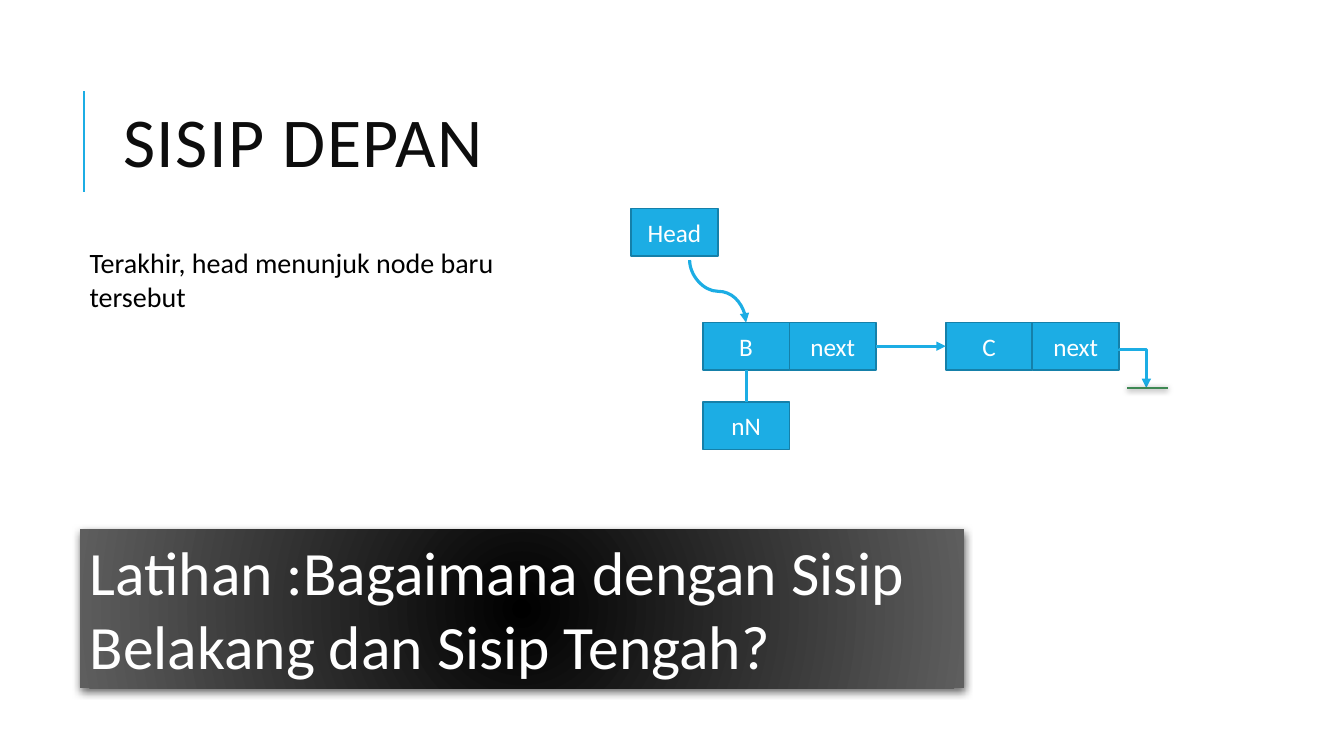
from dataclasses import dataclass
from lxml.etree import SubElement
from pptx import Presentation
from pptx.dml.color import RGBColor
from pptx.enum.shapes import MSO_CONNECTOR as Connector, MSO_SHAPE as Shape
from pptx.enum.text import MSO_ANCHOR as Anchor, MSO_AUTO_SIZE as AutoSize, PP_ALIGN as Align
from pptx.oxml.ns import qn
from pptx.util import Inches, Pt


@dataclass(frozen=True)
class Theme:
    """Colours, font and type sizes of the slide."""
    font: str = "Calibri"
    accent: str = "1CADE4"
    border: str = "1580A9"
    ground: str = "3E8853"
    title: str = "0D0D0D"
    black: str = "000000"
    gray: str = "5E5E5E"
    white: str = "FFFFFF"
    title_size: int = 50
    exercise_size: int = 44
    body_size: int = 20
    node_size: int = 18
    link_width: float = 2.25


THEME = Theme()
TITLE = "SISIP DEPAN"
EXPLANATION = "Terakhir, head menunjuk node baru tersebut"
EXERCISE = "Latihan :Bagaimana dengan Sisip Belakang dan Sisip Tengah?"

CELL_W, CELL_H = 0.86, 0.47
ROW_Y, POINTER_Y = 3.2, 3.99
NODE_B_X, NODE_C_X = 6.97, 9.38
CELLS = [
    ("Head", 6.26, 2.07),
    ("B", NODE_B_X, ROW_Y), ("next", NODE_B_X + CELL_W, ROW_Y),
    ("nN", NODE_B_X, POINTER_Y),
    ("C", NODE_C_X, ROW_Y), ("next", NODE_C_X + CELL_W, ROW_Y),
]


def rgb(color):
    """Turn a hex string into a colour."""
    return RGBColor.from_string(color)


def write(shape, text, size, color, align=Align.LEFT, anchor=Anchor.TOP):
    """Put one formatted paragraph in a shape and return its run."""
    frame = shape.text_frame
    frame.text = text
    frame.word_wrap = True
    frame.auto_size = AutoSize.NONE
    frame.vertical_anchor = anchor
    paragraph = frame.paragraphs[0]
    paragraph.alignment = align
    run = paragraph.runs[0]
    run.font.name, run.font.size = THEME.font, Pt(size)
    run.font.color.rgb = rgb(color)
    return run


def add_shadow(effects, alpha, blur, distance):
    """Add a downward black shadow to an effect list."""
    shadow = SubElement(effects, qn("a:outerShdw"), blurRad=str(Pt(blur)),
                        dist=str(Pt(distance)), dir="5400000", rotWithShape="0")
    color = SubElement(shadow, qn("a:srgbClr"), val=THEME.black)
    SubElement(color, qn("a:alpha"), val=str(alpha * 1000))


def add_cell(slide, text, left, top):
    """Draw one labelled cell of the linked list."""
    cell = slide.shapes.add_shape(Shape.RECTANGLE, *map(Inches, (left, top, CELL_W, CELL_H)))
    cell.shadow.inherit = False
    cell.fill.solid()
    cell.fill.fore_color.rgb = rgb(THEME.accent)
    cell.line.color.rgb = rgb(THEME.border)
    cell.line.width = Pt(1.25)
    write(cell, text, THEME.node_size, THEME.white, Align.CENTER, Anchor.MIDDLE)


def add_link(slide, start, end, kind=Connector.STRAIGHT, color=THEME.accent,
             width=THEME.link_width, arrow=False):
    """Draw a connector and return it with its effect list."""
    link = slide.shapes.add_connector(kind, *map(Inches, (*start, *end)))
    link.line.color.rgb = rgb(color)
    link.line.width = Pt(width)
    if arrow:
        SubElement(link.line._get_or_add_ln(), qn("a:tailEnd"), type="triangle")
    return link, SubElement(link.element.spPr, qn("a:effectLst"))


def add_drop(slide, start, end, kind, bend):
    """Draw an arrow that leaves and arrives vertically, down to the right."""
    link, _ = add_link(slide, start, end, kind, arrow=True)
    (x1, y1), (x2, y2) = start, end
    run, fall = x2 - x1, y2 - y1
    link.left, link.top = Inches((x1 + x2 - fall) / 2), Inches((y1 + y2 - run) / 2)
    link.width, link.height = Inches(fall), Inches(run)
    properties = link.element.spPr
    frame = properties.find(qn("a:xfrm"))
    frame.set("rot", str(270 * 60000))
    frame.set("flipH", "1")
    guides = properties.find(qn("a:prstGeom")).find(qn("a:avLst"))
    SubElement(guides, qn("a:gd"), name="adj1", fmla=f"val {round(bend * 100000)}")


def add_title(slide):
    """Fill the title placeholder and draw the rule beside it."""
    title = slide.shapes.title
    title.left, title.top, title.width, title.height = map(Inches, (1.12, 0.64, 10.63, 1.64))
    run = write(title, TITLE, THEME.title_size, THEME.title, anchor=Anchor.MIDDLE)
    run.font._element.set("spc", "100")
    title.text_frame.paragraphs[0].line_spacing = 0.8
    add_link(slide, (0.83, 1.9), (0.83, 0.9), width=1.5)


def add_exercise(slide):
    """Draw the exercise banner with its radial gradient."""
    banner = slide.shapes.add_shape(Shape.RECTANGLE, *map(Inches, (0.79, 5.25, 8.77, 1.58)))
    banner.line.fill.background()
    banner.fill.gradient()
    for stop, color in zip(banner.fill.gradient_stops, (THEME.black, THEME.gray)):
        stop.color.rgb = rgb(color)
    gradient = banner.element.spPr.find(qn("a:gradFill"))
    gradient.remove(gradient.find(qn("a:lin")))
    radial = SubElement(gradient, qn("a:path"), path="circle")
    SubElement(radial, qn("a:fillToRect"), {side: "50000" for side in "ltrb"})
    banner.shadow.inherit = False
    add_shadow(banner.element.spPr.find(qn("a:effectLst")), 60, 6, 2)
    write(banner, EXERCISE, THEME.exercise_size, THEME.white)


def add_linked_list(slide):
    """Draw the cells, their links and the closing ground mark."""
    for cell in CELLS:
        add_cell(slide, *cell)
    center_x = NODE_B_X + CELL_W / 2
    link_y = ROW_Y + CELL_H / 2
    add_drop(slide, (6.84, 2.58), (center_x, ROW_Y), Connector.CURVE, 0.5)
    add_link(slide, (center_x, POINTER_Y), (center_x, ROW_Y + CELL_H))
    add_link(slide, (NODE_B_X + 2 * CELL_W, link_y), (NODE_C_X, link_y), arrow=True)
    add_drop(slide, (NODE_C_X + 2 * CELL_W, 3.48), (11.37, 3.85), Connector.ELBOW, -0.04)
    _, effects = add_link(slide, (11.18, 3.85), (11.58, 3.85), color=THEME.ground, width=1.5)
    add_shadow(effects, 50, 4, 1)


def main():
    """Build and save the slide."""
    presentation = Presentation()
    presentation.slide_width, presentation.slide_height = Inches(13.33), Inches(7.5)
    slide = presentation.slides.add_slide(presentation.slide_layouts.get_by_name("Title Only"))
    add_title(slide)
    explanation = slide.shapes.add_textbox(*map(Inches, (0.79, 2.39, 4.55, 0.77)))
    write(explanation, EXPLANATION, THEME.body_size, THEME.black)
    add_exercise(slide)
    add_linked_list(slide)
    presentation.save("out.pptx")


main()
